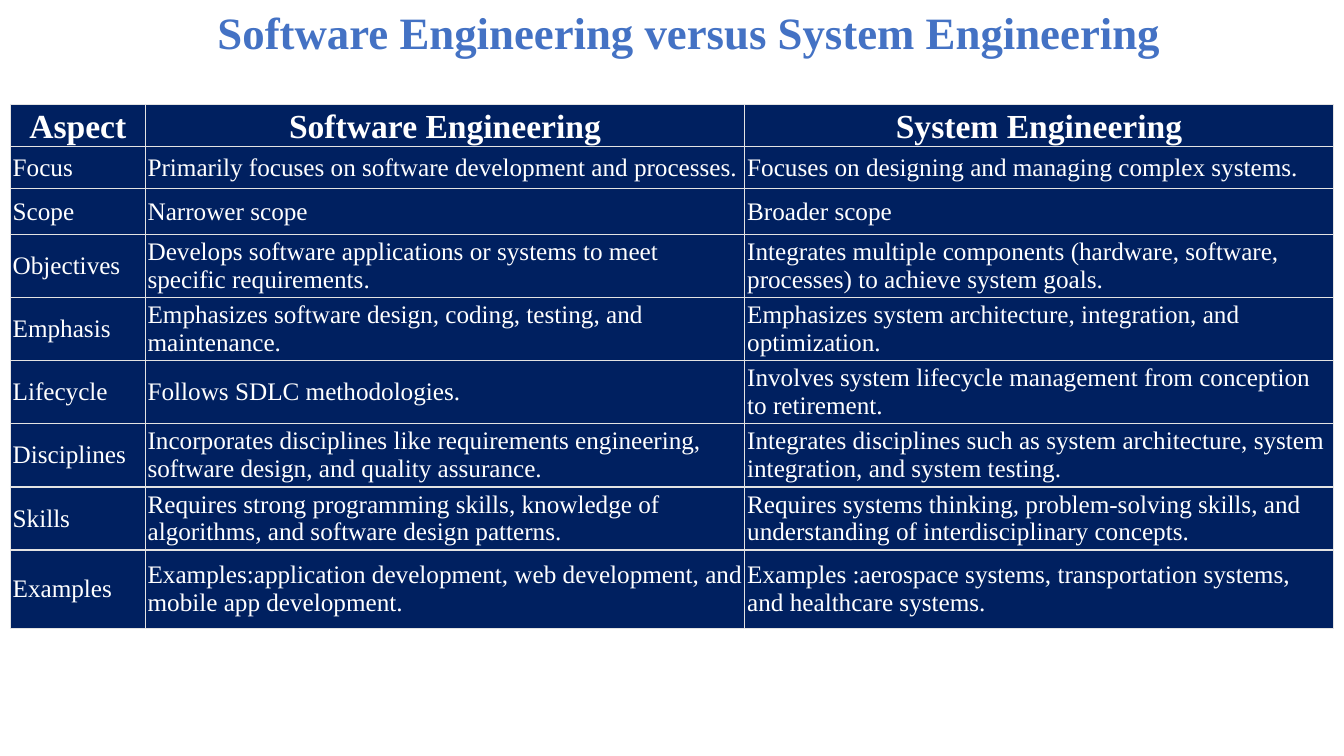
from lxml.etree import SubElement
from pptx import Presentation
from pptx.dml.color import RGBColor
from pptx.enum.text import MSO_ANCHOR as Anchor, PP_ALIGN as Align
from pptx.oxml.ns import qn
from pptx.util import Cm, Pt

FONT = "Times New Roman"
TITLE_BLUE = RGBColor(0x44, 0x72, 0xC4)
NAVY = RGBColor(0x00, 0x20, 0x60)
WHITE = RGBColor(0xFF, 0xFF, 0xFF)
BORDER_GREY = RGBColor(0xE3, 0xE3, 0xE3)

COLUMN_WIDTHS = [3.4, 15.11, 14.83]
ROW_HEIGHTS = [1.06, 1.06, 1.16] + [1.59] * 5 + [1.98]
COMPARISON = [
    ("Aspect", "Software Engineering", "System Engineering"),
    ("Focus", "Primarily focuses on software development and processes.",
     "Focuses on designing and managing complex systems."),
    ("Scope", "Narrower scope", "Broader scope"),
    ("Objectives", "Develops software applications or systems to meet specific requirements.",
     "Integrates multiple components (hardware, software, processes) to achieve system goals."),
    ("Emphasis", "Emphasizes software design, coding, testing, and maintenance.",
     "Emphasizes system architecture, integration, and optimization."),
    ("Lifecycle", "Follows SDLC methodologies.",
     "Involves system lifecycle management from conception to retirement."),
    ("Disciplines",
     "Incorporates disciplines like requirements engineering, software design, and quality assurance.",
     "Integrates disciplines such as system architecture, system integration, and system testing."),
    ("Skills",
     "Requires strong programming skills, knowledge of algorithms, and software design patterns.",
     "Requires systems thinking, problem-solving skills, and understanding of interdisciplinary concepts."),
    ("Examples", "Examples:application development, web development, and mobile app development.",
     "Examples :aerospace systems, transportation systems, and healthcare systems."),
]


def write_text(text_frame, text, size, color, bold, align):
    """Fill a text frame with one formatted paragraph."""
    text_frame.text = text
    text_frame.word_wrap = True
    paragraph = text_frame.paragraphs[0]
    paragraph.alignment = align
    font = paragraph.runs[0].font
    font.name = FONT
    font.size = Pt(size)
    font.bold = bold
    font.color.rgb = color


def add_title(slide, text):
    """Add the centred heading."""
    box = slide.shapes.add_textbox(Cm(1.8), Cm(0), Cm(31.14), Cm(1.63))
    write_text(box.text_frame, text, 32, TITLE_BLUE, True, Align.CENTER)


def set_borders(cell, top, bottom):
    """Draw the four cell borders with the given top and bottom widths."""
    properties = cell._tc.get_or_add_tcPr()
    widths = {"a:lnL": 0.75, "a:lnR": 0.75, "a:lnT": top, "a:lnB": bottom}
    for index, (tag, width) in enumerate(widths.items()):
        line = SubElement(properties, qn(tag), w=str(Pt(width)))
        fill = SubElement(line, qn("a:solidFill"))
        SubElement(fill, qn("a:srgbClr"), val=str(BORDER_GREY))
        properties.insert(index, line)


def format_cell(cell, text, is_header, is_last):
    """Write and style one table cell."""
    cell.margin_left = cell.margin_right = Cm(0.06)
    cell.margin_top = cell.margin_bottom = Cm(0.02)
    cell.vertical_anchor = Anchor.BOTTOM if is_header else Anchor.MIDDLE
    cell.fill.solid()
    cell.fill.fore_color.rgb = NAVY
    size, align = (24, Align.CENTER) if is_header else (18, Align.LEFT)
    write_text(cell.text_frame, text, size, WHITE, is_header, align)
    set_borders(cell, 0.75 if is_header else 1, 0.75 if is_last else 1)


def add_comparison_table(slide):
    """Add the comparison table with its header row."""
    frame = slide.shapes.add_table(
        len(COMPARISON), len(COLUMN_WIDTHS), Cm(0.26), Cm(2.63),
        Cm(sum(COLUMN_WIDTHS)), Cm(sum(ROW_HEIGHTS)))
    table = frame.table
    table.horz_banding = False
    for column, width in zip(table.columns, COLUMN_WIDTHS):
        column.width = Cm(width)
    for row, height in zip(table.rows, ROW_HEIGHTS):
        row.height = Cm(height)
    last = len(COMPARISON) - 1
    for row_index, texts in enumerate(COMPARISON):
        for column_index, text in enumerate(texts):
            format_cell(table.cell(row_index, column_index), text,
                        row_index == 0, row_index == last)


def main():
    """Build and save the slide."""
    presentation = Presentation()
    presentation.slide_width = Cm(33.87)
    presentation.slide_height = Cm(19.05)
    slide = presentation.slides.add_slide(presentation.slide_layouts[6])
    add_title(slide, "Software Engineering versus System Engineering")
    add_comparison_table(slide)
    presentation.save("out.pptx")


if __name__ == "__main__":
    main()
